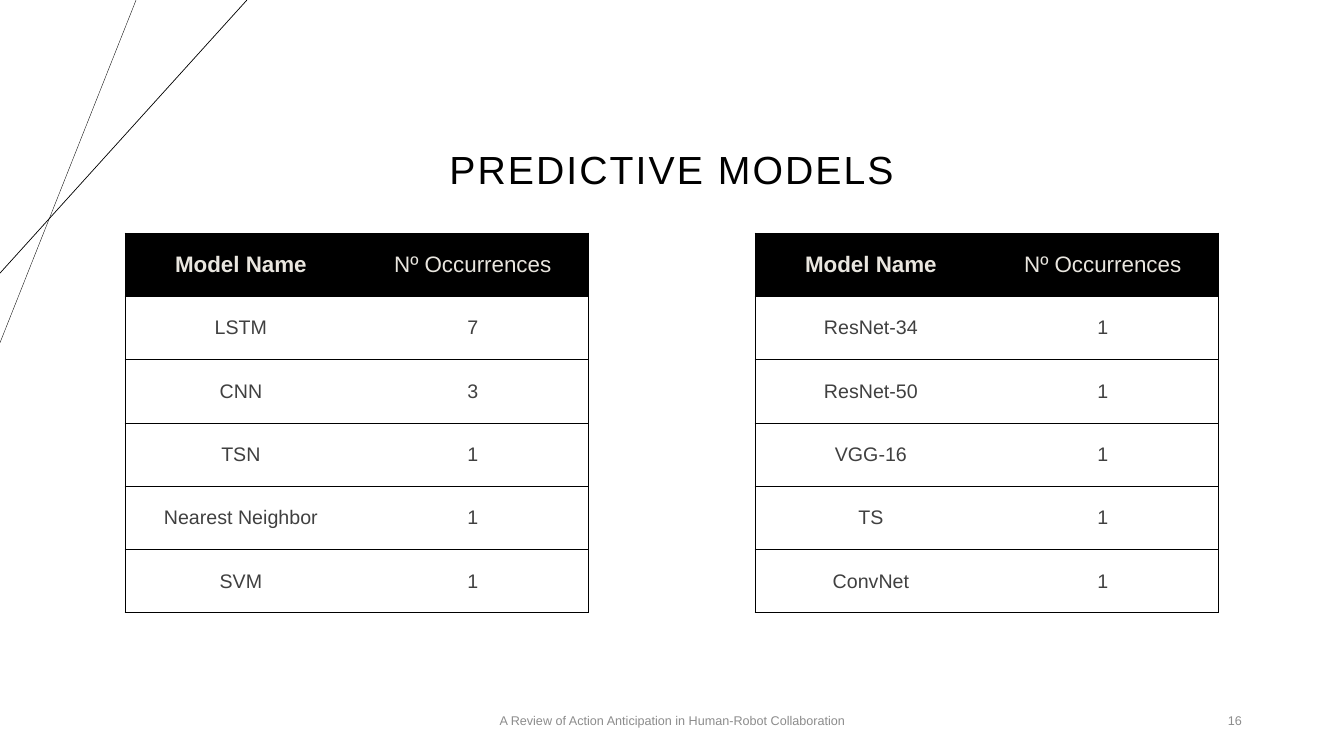
import dataclasses

import pptx
import pptx.dml.color
import pptx.enum.shapes
import pptx.enum.text
import pptx.oxml
import pptx.oxml.ns
import pptx.util

Pt = pptx.util.Pt
ALIGN = pptx.enum.text.PP_ALIGN
MIDDLE = pptx.enum.text.MSO_ANCHOR.MIDDLE
NS = pptx.oxml.ns.nsdecls("a")


@dataclasses.dataclass(frozen=True)
class Theme:
    """Colours, font and type sizes of the slide."""
    font: str = "Arial"
    ink: str = "000000"
    paper: str = "FFFFFF"
    header_text: str = "E9E6DF"
    body_text: str = "404040"
    footer_text: str = "8C8C8C"
    title_size: float = 28
    header_size: float = 16
    body_size: float = 14
    footer_size: float = 9


THEME = Theme()
HEADER = ("Model Name", "Nº Occurrences")
FREQUENT_MODELS = (("LSTM", "7"), ("CNN", "3"), ("TSN", "1"),
                   ("Nearest Neighbor", "1"), ("SVM", "1"))
OTHER_MODELS = (("ResNet-34", "1"), ("ResNet-50", "1"), ("VGG-16", "1"),
                ("TS", "1"), ("ConvNet", "1"))


def rgb(color):
    """Return the colour object for a hex value."""
    return pptx.dml.color.RGBColor.from_string(color)


def add_run(p, text, size, color, align, bold=False):
    """Add one styled run to a paragraph and return it."""
    p.alignment = align
    r = p.add_run()
    r.text = text
    r.font.name = THEME.font
    r.font.size = Pt(size)
    r.font.bold = bold
    r.font.color.rgb = rgb(color)
    return r


def add_text(s, box, text, size, color, align):
    """Add a vertically centred line of text in a box and return its run."""
    sp = s.shapes.add_textbox(*map(Pt, box))
    tf = sp.text_frame
    tf.word_wrap = True
    tf.vertical_anchor = MIDDLE
    return add_run(tf.paragraphs[0], text, size, color, align)


def add_title(s, box, text):
    """Add the letter-spaced title."""
    r = add_text(s, box, text, THEME.title_size, THEME.ink, ALIGN.CENTER)
    r._r.get_or_add_rPr().set("spc", "150")
    s.shapes[-1].text_frame.paragraphs[0].line_spacing = 0.9


def add_corner_lines(s, box):
    """Draw the two crossing lines in the top left corner."""
    x, y, w, h = box
    for across, down, weight in ((97.2, h, 0.25), (w, 195.1, 0.5)):
        line = s.shapes.add_connector(
            pptx.enum.shapes.MSO_CONNECTOR.STRAIGHT,
            Pt(x + across), Pt(y), Pt(x), Pt(y + down))
        line.line.color.rgb = rgb(THEME.ink)
        line.line.width = Pt(weight)
        line._element.spPr.append(pptx.oxml.parse_xml(f"<a:effectLst {NS}/>"))


def set_borders(cell, widths):
    """Set the left, right, top and bottom borders; zero means none."""
    tc_pr = cell._tc.get_or_add_tcPr()
    for i, (side, width) in enumerate(zip("LRTB", widths)):
        fill = (f'<a:solidFill><a:srgbClr val="{THEME.ink}"/></a:solidFill>'
                if width else "<a:noFill/>")
        tc_pr.insert(i, pptx.oxml.parse_xml(
            f'<a:ln{side} {NS} w="{int(Pt(width))}">{fill}</a:ln{side}>'))


def add_model_table(s, box, models):
    """Add a table of models and their occurrences."""
    x, y, w, h = box
    rows = (HEADER, *models)
    last_row, last_col = len(rows) - 1, len(HEADER) - 1
    table = s.shapes.add_table(len(rows), len(HEADER), *map(Pt, box)).table
    for column in table.columns:
        column.width = Pt(w / len(HEADER))
    for i, values in enumerate(rows):
        table.rows[i].height = Pt(h / len(rows))
        head = i == 0
        size = THEME.header_size if head else THEME.body_size
        color = THEME.header_text if head else THEME.body_text
        for j, value in enumerate(values):
            cell = table.cell(i, j)
            cell.vertical_anchor = MIDDLE
            cell.fill.solid()
            cell.fill.fore_color.rgb = rgb(THEME.ink if head else THEME.paper)
            add_run(cell.text_frame.paragraphs[0], value, size, color,
                    ALIGN.CENTER, bold=head and j == 0)
            set_borders(cell, (0.5 if j == 0 else 0,
                               0.5 if j == last_col else 0,
                               0.5, 1 if i == last_row else 0.5))


def add_footer(s, box, text, number):
    """Add the centred footer text and the slide number at the right."""
    x, y, w, h = box
    add_text(s, (x, y, 324, h), text,
             THEME.footer_size, THEME.footer_text, ALIGN.CENTER)
    add_text(s, (x + w - 216, y, 216, h), number,
             THEME.footer_size, THEME.footer_text, ALIGN.RIGHT)


def main():
    """Build and save the slide."""
    prs = pptx.Presentation()
    prs.slide_width, prs.slide_height = Pt(960), Pt(540)
    s = prs.slides.add_slide(prs.slide_layouts[6])
    s.background.fill.solid()
    s.background.fill.fore_color.rgb = rgb(THEME.paper)
    add_corner_lines(s, (0, 0, 176.4, 244.8))
    add_title(s, (148.3, 70.6, 663.1, 104.4), "PREDICTIVE MODELS")
    add_footer(s, (318.2, 500.4, 576, 28.8),
               "A Review of Action Anticipation in Human-Robot Collaboration",
               "16")
    for x, models in ((89.3, FREQUENT_MODELS), (539.3, OTHER_MODELS)):
        add_model_table(s, (x, 166.3, 331.2, 271.5), models)
    prs.save("out.pptx")


if __name__ == "__main__":
    main()
